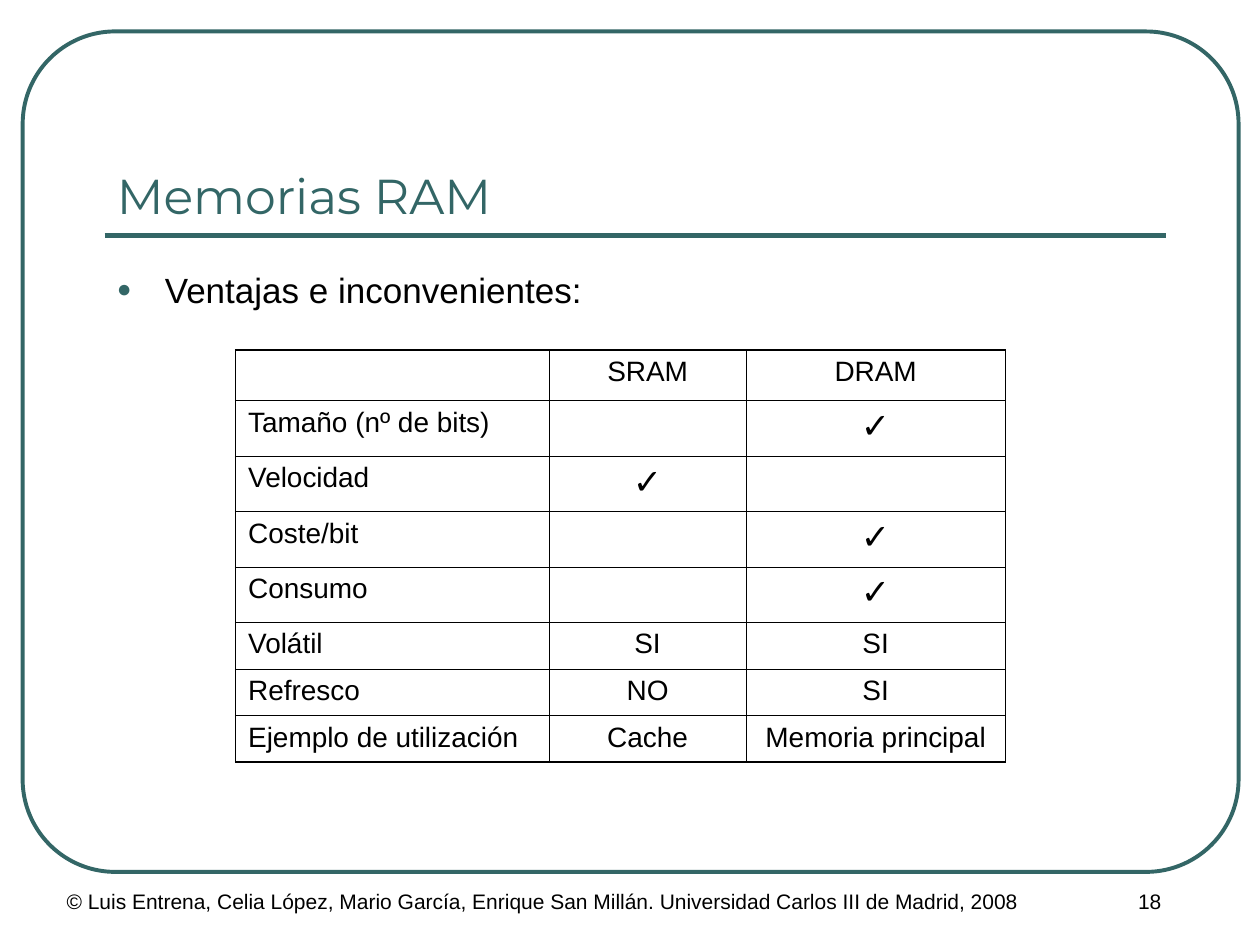
from dataclasses import dataclass

from lxml.etree import SubElement
from pptx import Presentation
from pptx.dml.color import RGBColor as RGB
from pptx.enum.shapes import MSO_CONNECTOR as CONN, MSO_SHAPE as SHAPE
from pptx.enum.text import MSO_ANCHOR as ANCHOR, PP_ALIGN as ALIGN
from pptx.oxml.ns import qn
from pptx.util import Inches, Pt


@dataclass(frozen=True)
class Theme:
    accent: str = "336666"
    ink: str = "000000"
    paper: str = "FFFFFF"
    head_font: str = "Montserrat"
    body_font: str = "Arial"
    title: int = 28
    body: int = 20
    cell: int = 16
    foot: int = 12
    outer: float = 1.08
    inner: float = 0.45


class Deck:
    """Builds the elements of a slide in one style."""

    def __init__(self, prs, theme):
        self.t = theme
        self.s = prs.slides.add_slide(prs.slide_layouts[6])

    def style_text(self, p, text, size, color=None, font=None, align=ALIGN.LEFT):
        p.alignment = align
        r = p.add_run()
        r.text = text
        r.font.size = Pt(size)
        r.font.name = font or self.t.body_font
        r.font.color.rgb = RGB.from_string(color or self.t.ink)

    def frame(self, x, y, w, h, adj, width):
        sp = self.s.shapes.add_shape(SHAPE.ROUNDED_RECTANGLE, Inches(x), Inches(y), Inches(w), Inches(h))
        sp.adjustments[0] = adj
        sp.shadow.inherit = False
        sp.fill.background()
        sp.line.color.rgb = RGB.from_string(self.t.accent)
        sp.line.width = Pt(width)

    def rule(self, x1, x2, y, width):
        ln = self.s.shapes.add_connector(CONN.STRAIGHT, Inches(x1), Inches(y), Inches(x2), Inches(y))
        ln.line.color.rgb = RGB.from_string(self.t.accent)
        ln.line.width = Pt(width)
        SubElement(ln._element.spPr, qn("a:effectLst"))

    def text(self, x, y, w, h, text, size, anchor=ANCHOR.TOP, **style):
        tf = self.s.shapes.add_textbox(Inches(x), Inches(y), Inches(w), Inches(h)).text_frame
        tf.word_wrap = True
        tf.vertical_anchor = anchor
        p = tf.paragraphs[0]
        self.style_text(p, text, size, **style)
        return p

    def bullet(self, x, y, w, h, text):
        p = self.text(x, y, w, h, text, self.t.body)
        p.space_before = Pt(5)
        pPr = p._p.get_or_add_pPr()
        pPr.set("marL", str(Inches(0.38)))
        pPr.set("indent", str(-Inches(0.38)))
        SubElement(SubElement(pPr, qn("a:buClr")), qn("a:srgbClr"), val=self.t.accent)
        SubElement(pPr, qn("a:buSzPct"), val="70000")
        SubElement(pPr, qn("a:buFont"), typeface=self.t.body_font)
        SubElement(pPr, qn("a:buChar"), char="●")

    def borders(self, cell, outer):
        tcPr = cell._tc.get_or_add_tcPr()
        for side in "LRTB":
            width = self.t.outer if side in outer else self.t.inner
            ln = SubElement(tcPr, qn(f"a:ln{side}"), w=str(Pt(width)))
            SubElement(SubElement(ln, qn("a:solidFill")), qn("a:srgbClr"), val=self.t.ink)

    def table(self, x, y, widths, heights, rows):
        n, m = len(heights), len(widths)
        tbl = self.s.shapes.add_table(n, m, Inches(x), Inches(y), Inches(sum(widths)), Inches(sum(heights))).table
        tbl.first_row = tbl.horz_banding = False
        for col, w in zip(tbl.columns, widths):
            col.width = Inches(w)
        for i, (row, h) in enumerate(zip(rows, heights)):
            tbl.rows[i].height = Inches(h)
            for j, text in enumerate(row):
                cell = tbl.cell(i, j)
                edges = {"L": j == 0, "R": j == m - 1, "T": i == 0, "B": i == n - 1}
                self.borders(cell, [side for side, on in edges.items() if on])
                cell.fill.solid()
                cell.fill.fore_color.rgb = RGB.from_string(self.t.paper)
                check = text == "✓"
                p = cell.text_frame.paragraphs[0]
                p.space_before = Pt(5 if check else 4)
                self.style_text(p, text, self.t.body if check else self.t.cell,
                                align=ALIGN.CENTER if j else ALIGN.LEFT)


def main():
    prs = Presentation()
    prs.slide_width, prs.slide_height = Inches(10), Inches(7.5)
    t = Theme()
    d = Deck(prs, t)
    d.frame(0.18, 0.25, 9.65, 6.67, 0.11, 2.25)
    d.rule(0.83, 9.25, 1.87, 3)
    d.text(0.43, 7, 8.5, 0.5, "© Luis Entrena, Celia López, Mario García, Enrique San Millán. "
           "Universidad Carlos III de Madrid, 2008", t.foot)
    d.text(8.25, 7, 1.75, 0.5, "18", t.foot, align=ALIGN.CENTER)
    d.text(0.83, 0.58, 8.42, 1.25, "Memorias RAM", t.title, ANCHOR.BOTTOM, color=t.accent, font=t.head_font)
    d.bullet(0.83, 2.08, 7.99, 4.42, "Ventajas e inconvenientes:")
    rows = [
        ("", "SRAM", "DRAM"),
        ("Tamaño (nº de bits)", "", "✓"),
        ("Velocidad", "✓", ""),
        ("Coste/bit", "", "✓"),
        ("Consumo", "", "✓"),
        ("Volátil", "SI", "SI"),
        ("Refresco", "NO", "SI"),
        ("Ejemplo de utilización", "Cache", "Memoria principal"),
    ]
    heights = [0.44 if "✓" in row else 0.37 for row in rows]
    d.table(1.87, 2.78, [2.49, 1.56, 2.06], heights, rows)
    prs.save("out.pptx")


if __name__ == "__main__":
    main()
